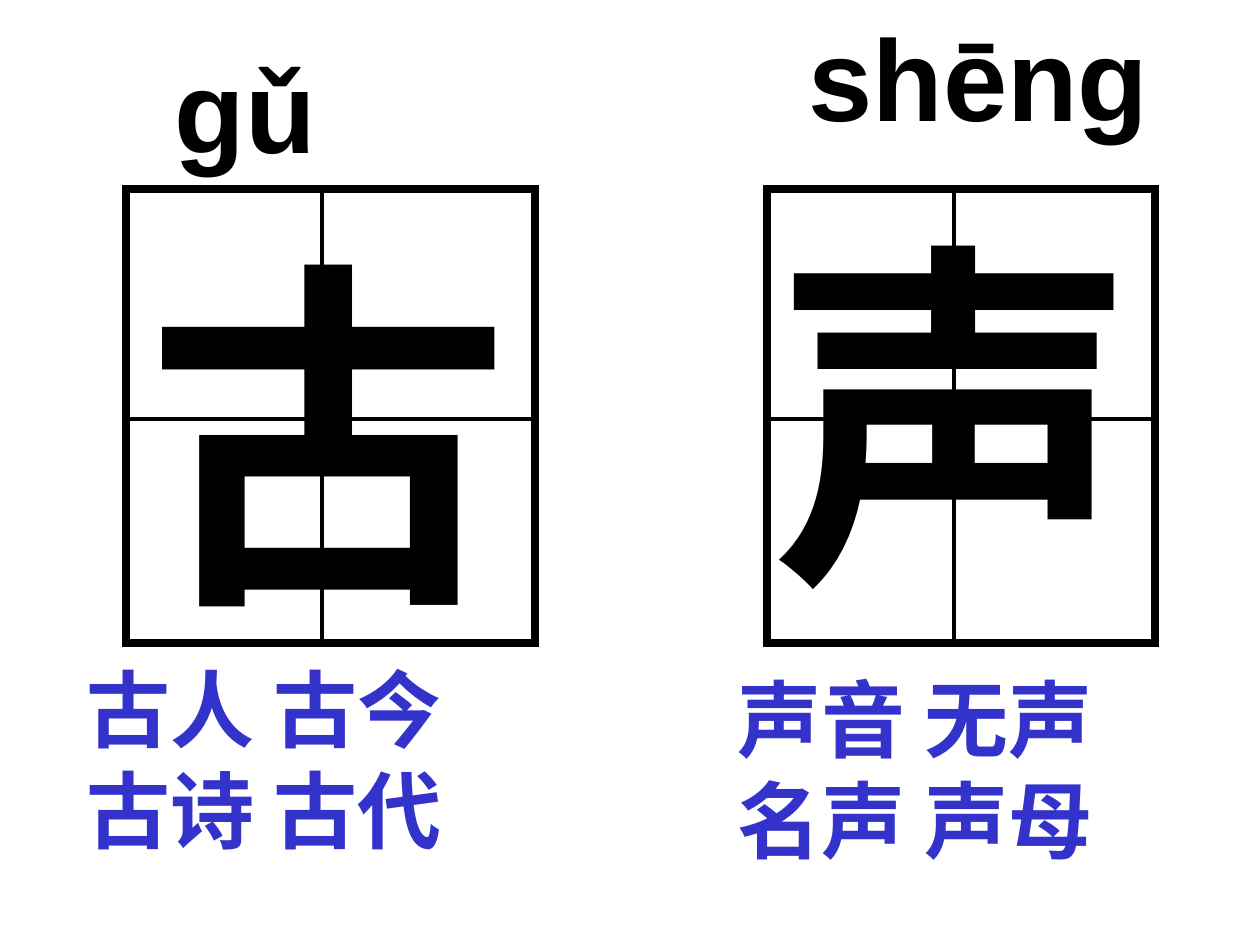
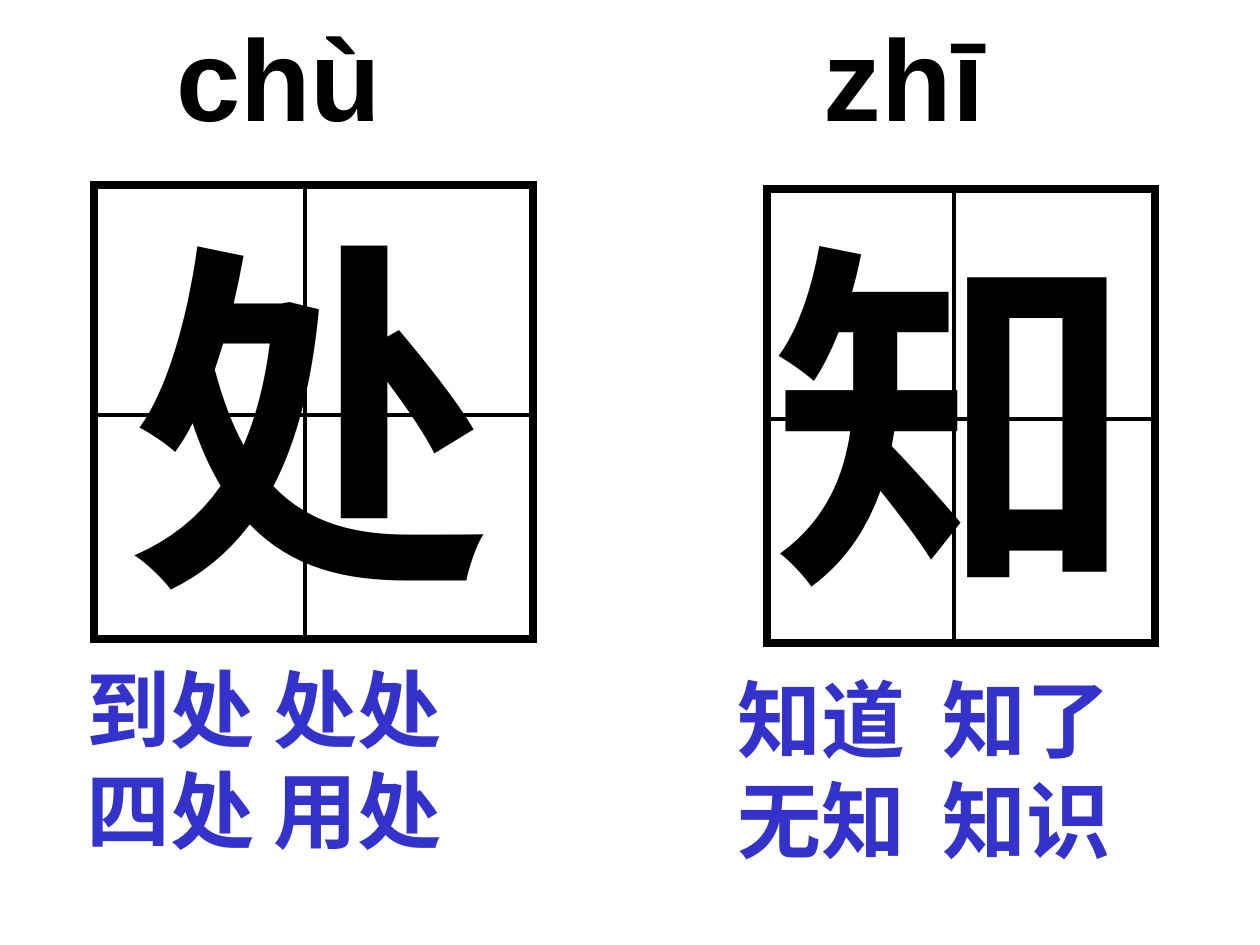
from dataclasses import dataclass
from typing import Optional

import lxml.etree
import pptx
import pptx.dml.color
import pptx.enum.shapes
import pptx.enum.text
import pptx.oxml.ns
import pptx.util

Cm = pptx.util.Cm
Pt = pptx.util.Pt

# Shared look
BLACK, WHITE, BLUE = "000000", "FFFFFF", "3333CC"
CHINESE_FONT = "Noto Sans CJK SC"
GRID_HEIGHT = 9.16
CROSS_SHARE = 0.48  # where the upright guide stands, as a share of the grid width
CROSS_DROP = 4.63  # how far the level guide lies below the grid's top
CHINESE_LINE = 1.2  # line height of Chinese text, in font sizes


@dataclass(frozen=True)
class Area:
    """A place on the slide, in centimetres."""
    left: float
    top: float
    width: float
    height: float


@dataclass(frozen=True)
class TextStyle:
    size: int
    font: str
    color: str
    chinese: bool = True


@dataclass(frozen=True)
class CharacterCard:
    character: str
    pinyin: str
    words: tuple[str, ...]
    grid: Area
    character_area: Area
    pinyin_area: Area
    words_area: Area
    character_wraps: bool = False
    word_tab: Optional[float] = None


CHARACTER = TextStyle(208, "Times New Roman", BLACK)
WORDS = TextStyle(48, CHINESE_FONT, BLUE)
PINYIN = TextStyle(66, "Arial", BLACK, chinese=False)

# Places used on both slides
LEFT_WORDS = Area(1.5, 13.13, 8.89, 4.32)
RIGHT_WORDS = Area(14.61, 13.33, 10.36, 4.32)
RIGHT_GRID = Area(15.47, 3.81, 7.82, GRID_HEIGHT)
RIGHT_CHARACTER = Area(15.32, 3.73, 7.85, 9.07)

LESSON = (
    (
        CharacterCard("古", "gǔ", ("古人 古今", "古诗 古代"),
                      Area(2.54, 3.81, 8.25, GRID_HEIGHT),
                      Area(2.7, 4.12, 7.57, 9.07),
                      Area(3.27, 0.64, 3.35, 3.05),
                      LEFT_WORDS, character_wraps=True),
        CharacterCard("声", "shēng", ("声音 无声", "名声 声母"),
                      RIGHT_GRID, RIGHT_CHARACTER,
                      Area(16.05, 0, 7.37, 3.05), RIGHT_WORDS),
    ),
    (
        CharacterCard("处", "chù", ("到处 处处", "四处 用处"),
                      Area(1.9, 3.73, 8.84, GRID_HEIGHT),
                      Area(2.3, 3.73, 7.57, 9.07),
                      Area(3.3, 0, 4.67, 3.05),
                      LEFT_WORDS, character_wraps=True),
        CharacterCard("知", "zhī", ("知道\t知了", "无知\t知识"),
                      RIGHT_GRID, RIGHT_CHARACTER,
                      Area(16.36, 0, 3.85, 3.05), RIGHT_WORDS, word_tab=4.15),
    ),
)


def rgb(color: str) -> pptx.dml.color.RGBColor:
    return pptx.dml.color.RGBColor.from_string(color)


def add_child(parent, tag: str, **attributes: str):
    child = lxml.etree.SubElement(parent, pptx.oxml.ns.qn(tag))
    for name, value in attributes.items():
        child.set(name, value)
    return child


def add_guide(group, x1: float, y1: float, x2: float, y2: float) -> None:
    guide = group.shapes.add_connector(
        pptx.enum.shapes.MSO_CONNECTOR.STRAIGHT, Cm(x1), Cm(y1), Cm(x2), Cm(y2))
    guide.line.color.rgb = rgb(BLACK)
    guide.line.width = Pt(2.25)
    add_child(guide._element.spPr, "a:effectLst")


def add_writing_grid(page, area: Area) -> None:
    group = page.shapes.add_group_shape()
    frame = group.shapes.add_shape(
        pptx.enum.shapes.MSO_SHAPE.RECTANGLE,
        Cm(area.left), Cm(area.top), Cm(area.width), Cm(area.height))
    frame.shadow.inherit = False
    frame.fill.solid()
    frame.fill.fore_color.rgb = rgb(WHITE)
    frame.line.color.rgb = rgb(BLACK)
    frame.line.width = Pt(4.5)
    # Square corners
    outline = frame._element.spPr.find(pptx.oxml.ns.qn("a:ln"))
    add_child(outline, "a:miter", lim="800000")

    cross_x = area.left + area.width * CROSS_SHARE
    cross_y = area.top + CROSS_DROP
    add_guide(group, cross_x, area.top, cross_x, area.top + area.height)
    add_guide(group, area.left, cross_y, area.left + area.width, cross_y)


def add_text(page, area: Area, lines: tuple[str, ...], style: TextStyle,
             wrap: bool = False, tab: Optional[float] = None) -> None:
    box = page.shapes.add_textbox(
        Cm(area.left), Cm(area.top), Cm(area.width), Cm(area.height))
    frame = box.text_frame
    frame.word_wrap = wrap
    frame.auto_size = pptx.enum.text.MSO_AUTO_SIZE.SHAPE_TO_FIT_TEXT
    frame.text = "\n".join(lines)
    for para in frame.paragraphs:
        if style.chinese:
            para.line_spacing = Pt(style.size * CHINESE_LINE)
        if tab is not None:
            tabs = add_child(para._p.get_or_add_pPr(), "a:tabLst")
            add_child(tabs, "a:tab", pos=str(Cm(tab)), algn="l")
        for span in para.runs:
            span.font.size = Pt(style.size)
            span.font.bold = True
            span.font.color.rgb = rgb(style.color)
            span.font.name = style.font
            if style.chinese:
                add_child(span.font._element, "a:ea", typeface=CHINESE_FONT)


def add_card(page, card: CharacterCard) -> None:
    add_writing_grid(page, card.grid)
    add_text(page, card.character_area, (card.character,), CHARACTER,
             wrap=card.character_wraps)
    add_text(page, card.words_area, card.words, WORDS, wrap=True, tab=card.word_tab)
    add_text(page, card.pinyin_area, (card.pinyin,), PINYIN)


def main() -> None:
    deck = pptx.Presentation()
    deck.slide_width, deck.slide_height = Cm(25.4), Cm(19.05)
    blank = deck.slide_layouts[6]
    for cards in LESSON:
        page = deck.slides.add_slide(blank)
        for card in cards:
            add_card(page, card)
    deck.save("out.pptx")


if __name__ == "__main__":
    main()
